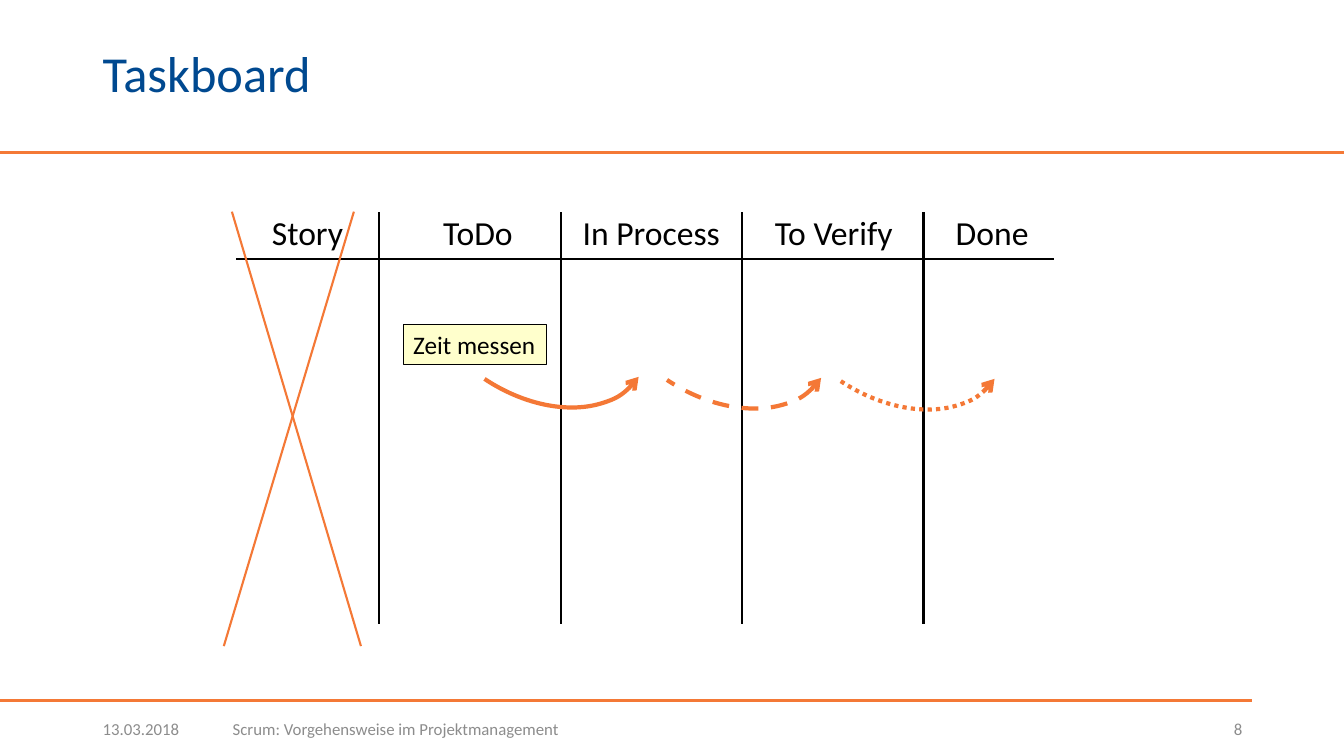
from lxml import etree
from pptx import Presentation
from pptx import util as u
from pptx.dml.color import RGBColor
from pptx.enum import dml, shapes, text
from pptx.oxml import ns

ORANGE = "F47836"
RULE_ORANGE = "F47936"
BLACK = "000000"
BLUE = "004990"
GREY = "8C8C8C"
YELLOW = "FFFFCC"


def paint(color_format, color):
    color_format.rgb = RGBColor.from_string(color)


def draw_line(start_x, start_y, end_x, end_y, color, width):
    line = slide.shapes.add_connector(
        shapes.MSO_CONNECTOR.STRAIGHT,
        u.Inches(start_x), u.Inches(start_y), u.Inches(end_x), u.Inches(end_y))
    paint(line.line.color, color)
    line.line.width = u.Pt(width)
    etree.SubElement(line._element.spPr, ns.qn("a:effectLst"))


presentation = Presentation()
presentation.slide_width = u.Inches(13.33)
presentation.slide_height = u.Inches(7.5)
slide = presentation.slides.add_slide(presentation.slide_layouts[6])

page_width = 13.33
margin = 0.92
content_width = 11.5
content_right = margin + content_width

board_left, board_right = 2.34, 10.45
board_top, board_bottom = 2.1, 6.19
header_line = 2.57
first_divider = 3.76
column_width = 1.8
cross_bottom = 6.41

draw_line(0, 1.51, page_width, 1.51, RULE_ORANGE, 2)
draw_line(0, 6.95, content_right, 6.95, RULE_ORANGE, 2)

for column in range(4):
    divider = first_divider + column * column_width
    draw_line(divider, board_bottom, divider, board_top, BLACK, 1.5)
draw_line(board_right, header_line, board_left, header_line, BLACK, 1.5)

left, center, right = text.PP_ALIGN.LEFT, text.PP_ALIGN.CENTER, text.PP_ALIGN.RIGHT
labels = [
    ("Taskboard", margin, 0.17, content_width, 1.18, 36, BLUE, left),
    ("13.03.2018", margin, 7.03, 1.17, 0.4, 12, GREY, left),
    ("Scrum: Vorgehensweise im Projektmanagement", 2.21, 7.03, 9.26, 0.4, 12, GREY, left),
    ("8", content_right - 0.79, 7.03, 0.79, 0.4, 12, GREY, right),
]
heading_centers = {"Story": 3.05, "ToDo": 4.74, "In Process": 6.46,
                   "To Verify": 8.27, "Done": 9.84}
for heading, middle in heading_centers.items():
    labels.append((heading, middle - column_width / 2, 2.05, column_width, 0.5,
                   24, BLACK, center))

for words, x, y, width, height, size, color, alignment in labels:
    box = slide.shapes.add_textbox(
        u.Inches(x), u.Inches(y), u.Inches(width), u.Inches(height))
    frame = box.text_frame
    frame.word_wrap = True
    frame.vertical_anchor = text.MSO_ANCHOR.MIDDLE
    paragraph = frame.paragraphs[0]
    paragraph.text = words
    paragraph.alignment = alignment
    paragraph.font.name = "Calibri"
    paragraph.font.size = u.Pt(size)
    paint(paragraph.font.color, color)
    if words == "Taskboard":
        paragraph.line_spacing = 0.9

task = slide.shapes.add_shape(
    shapes.MSO_SHAPE.RECTANGLE,
    u.Inches(4), u.Inches(3.22), u.Inches(1.42), u.Inches(0.4))
task.shadow.inherit = False
task.fill.solid()
paint(task.fill.fore_color, YELLOW)
paint(task.line.color, BLACK)
task.line.width = u.Pt(0.75)
task.text_frame.word_wrap = True
paragraph = task.text_frame.paragraphs[0]
paragraph.text = "Zeit messen"
paragraph.alignment = left
paragraph.font.name = "Calibri"
paragraph.font.size = u.Pt(18)
paint(paragraph.font.color, BLACK)

moves = [
    (4.42, 1.78, dml.MSO_LINE.SOLID),
    (6.23, 1.79, dml.MSO_LINE.DASH),
    (7.95, 1.8, dml.MSO_LINE.ROUND_DOT),
]
for x, y, dash in moves:
    arc = slide.shapes.add_shape(
        shapes.MSO_SHAPE.ARC,
        u.Inches(x), u.Inches(y), u.Inches(1.73), u.Inches(2.52))
    arc.rotation = 123.7
    arc.shadow.inherit = False
    arc.fill.background()
    paint(arc.line.color, ORANGE)
    arc.line.width = u.Pt(3)
    arc.line.dash_style = dash
    outline = arc._element.spPr.find(ns.qn("a:ln"))
    etree.SubElement(outline, ns.qn("a:headEnd"), type="arrow")

draw_line(2.22, cross_bottom, 3.51, board_top, ORANGE, 1.5)
draw_line(3.58, cross_bottom, 2.3, board_top, ORANGE, 1.5)

presentation.save("out.pptx")
